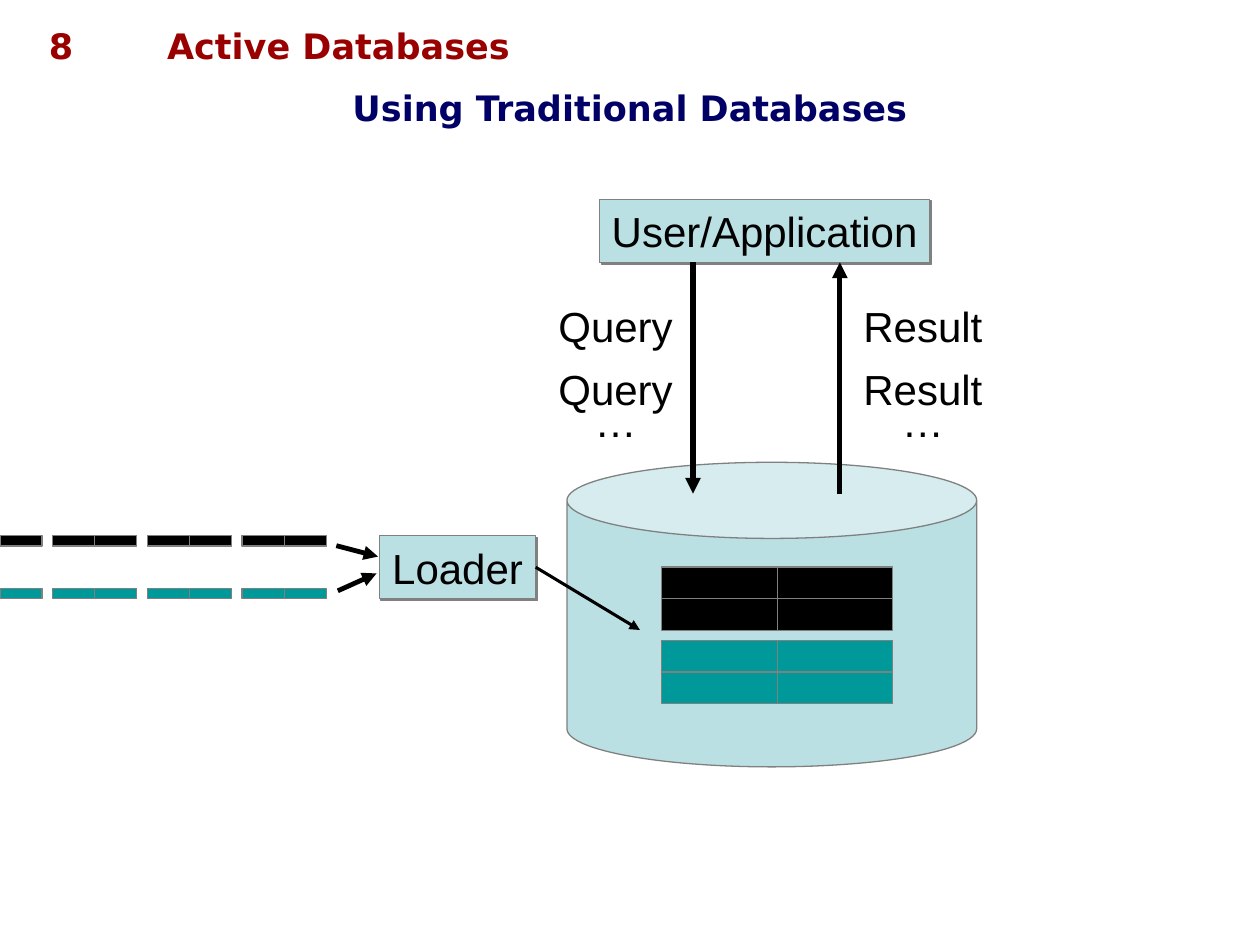
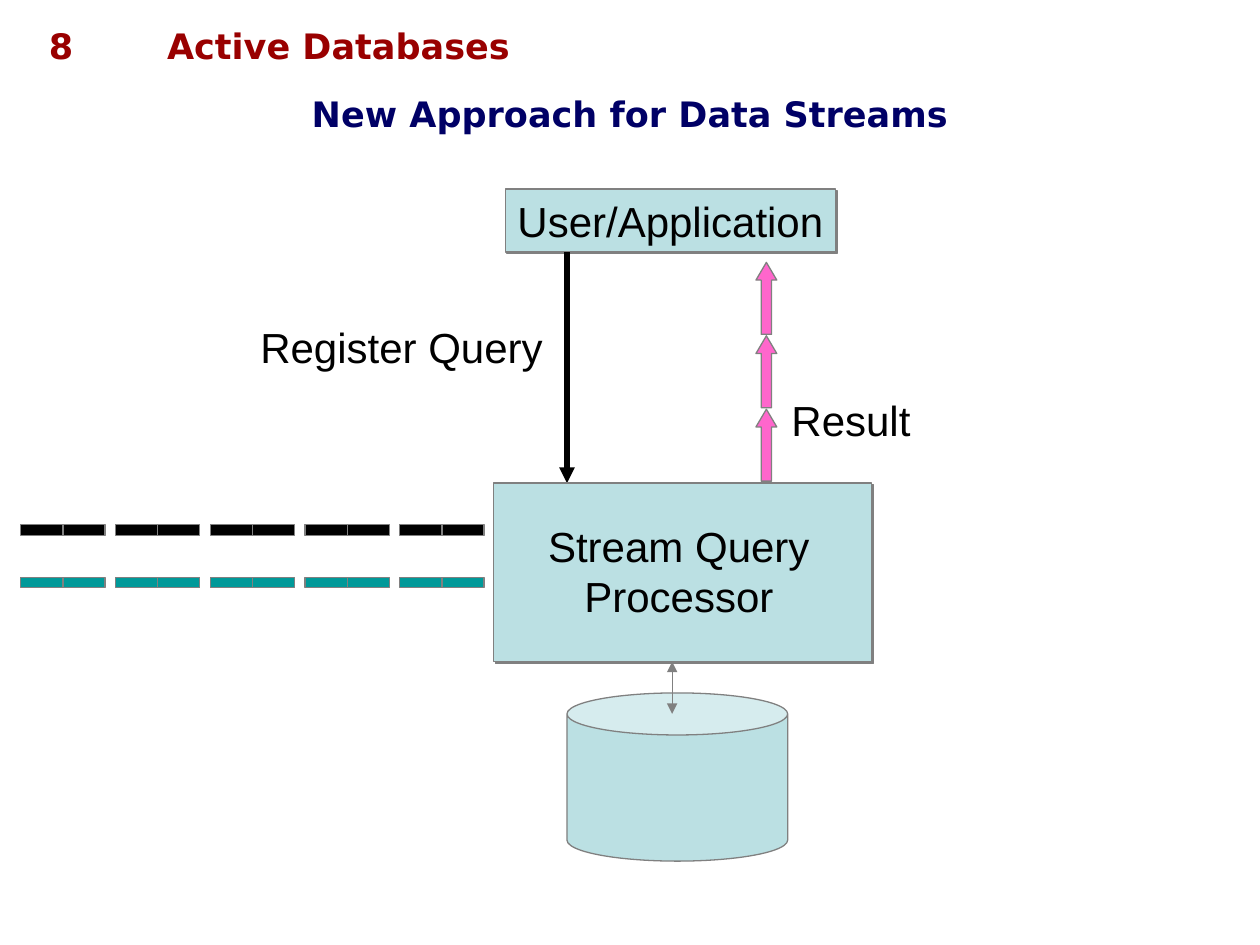
from lxml.etree import SubElement
from pptx import Presentation
from pptx.dml.color import RGBColor as RGB
from pptx.enum.shapes import MSO_CONNECTOR as Link, MSO_SHAPE as Shape
from pptx.enum.text import MSO_ANCHOR as Anchor, MSO_AUTO_SIZE as AutoSize, PP_ALIGN as Align
from pptx.oxml.ns import qn
from pptx.util import Cm, Pt


class Theme:
    heading = RGB(0x99, 0x00, 0x00)
    title = RGB(0x00, 0x00, 0x66)
    panel = RGB(0xBB, 0xE0, 0xE3)
    outline = RGB(0x80, 0x80, 0x80)
    ink = RGB(0x00, 0x00, 0x00)
    teal = RGB(0x00, 0x99, 0x99)
    pink = RGB(0xFF, 0x66, 0xCC)
    heading_font, body_font = "DejaVu Sans", "Arial"
    heading_size, body_size = Pt(20), Pt(24)
    thin, medium, strong, heavy = Pt(0.75), Pt(1.75), Pt(2.75), Pt(3)


def add_box(page, kind, left, top, width, height, fill=Theme.panel, lines=(), shadow=False):
    area = Cm(left), Cm(top), Cm(width), Cm(height)
    if kind is None:
        box = page.shapes.add_textbox(*area)
    else:
        box = page.shapes.add_shape(kind, *area)
        box.fill.solid()
        box.fill.fore_color.rgb = fill
        box.line.color.rgb = Theme.outline
        box.line.width = Theme.thin
        box.shadow.inherit = False
    if shadow:
        effects = box.element.spPr.find(qn("a:effectLst"))
        cast = SubElement(effects, qn("a:outerShdw"), dist=str(Pt(1.4)), dir="2700000", algn="ctr", rotWithShape="0")
        SubElement(cast, qn("a:srgbClr"), val=str(Theme.outline))
    frame = box.text_frame
    frame.word_wrap = False
    for index, text in enumerate(lines):
        para = frame.add_paragraph() if index else frame.paragraphs[0]
        para.alignment = Align.CENTER
        if text == "…":
            para.line_spacing = 0.6
        span = para.add_run()
        span.text = text
        span.font.name = Theme.body_font
        span.font.size = Theme.body_size
        span.font.color.rgb = Theme.ink
    return box


def add_arrow(page, start, end, width, color=Theme.ink, ends=("tailEnd",)):
    arrow = page.shapes.add_connector(Link.STRAIGHT, *map(Cm, start + end))
    arrow.line.color.rgb = color
    arrow.line.width = width
    properties = arrow.element.spPr
    for end_name in ends:
        SubElement(properties.find(qn("a:ln")), qn(f"a:{end_name}"), type="triangle")
    SubElement(properties, qn("a:effectLst"))
    return arrow


deck = Presentation()
deck.slide_width, deck.slide_height = Cm(25.4), Cm(19.05)
layout = deck.slide_layouts[5]

pages = []
for title_text, title_top in (("Using Traditional Databases", 1.78), ("New Approach for Data Streams", 1.91)):
    page = deck.slides.add_slide(layout)
    title = page.shapes.title
    title.left, title.top, title.width, title.height = Cm(0), Cm(title_top), Cm(25.4), Cm(0.76)
    frame = title.text_frame
    frame.margin_left = frame.margin_right = frame.margin_top = frame.margin_bottom = 0
    frame.vertical_anchor = Anchor.MIDDLE
    frame.auto_size = AutoSize.NONE
    para = frame.paragraphs[0]
    para.alignment = Align.CENTER
    span = para.add_run()
    span.text = title_text
    span.font.name, span.font.size, span.font.bold = Theme.heading_font, Theme.heading_size, True
    span.font.color.rgb = Theme.title
    pages.append(page)
traditional, streaming = pages

for text, left, width, alignment in (
    ("Active Databases", 3.12, 21.62, Align.LEFT),
    ("8", 0.33, 1.8, Align.CENTER),
):
    box = traditional.shapes.add_textbox(Cm(left), Cm(0.36), Cm(width), Cm(1.12))
    box.text_frame.word_wrap = True
    para = box.text_frame.paragraphs[0]
    para.alignment = alignment
    span = para.add_run()
    span.text = text
    span.font.name, span.font.size, span.font.bold = Theme.heading_font, Theme.heading_size, True
    span.font.color.rgb = Theme.heading
    layout.shapes.element.append(box.element)

add_box(traditional, Shape.CAN, 11.43, 9.32, 8.26, 6.14)
add_box(traditional, Shape.RECTANGLE, 12.09, 4.02, 6.65, 1.27, lines=["User/Application"], shadow=True)
loader = add_box(traditional, Shape.RECTANGLE, 7.65, 10.8, 3.15, 1.27, lines=["Loader"], shadow=True)
add_arrow(traditional, (13.97, 5.29), (13.97, 9.95), Theme.heavy)
add_arrow(traditional, (16.93, 9.95), (16.93, 5.29), Theme.heavy)
for label, left, width in (("Query", 11.0, 2.82), ("Result", 17.15, 2.91)):
    add_box(traditional, None, left, 5.93, width, 1.27, lines=[label])
    add_box(traditional, None, left, 7.2, width, 1.88, lines=[label, "…"])

for table, color in enumerate((Theme.ink, Theme.teal)):
    for row in range(2):
        for column in range(2):
            left, top = 13.34 + 2.33 * column, 11.43 + 1.48 * table + 0.64 * row
            add_box(traditional, Shape.RECTANGLE, left, top, 2.33, 0.64, color)

add_arrow(traditional, (6.78, 11.0), (7.62, 11.22), Theme.strong)
add_arrow(traditional, (6.81, 11.91), (7.59, 11.56), Theme.strong)
load_arrow = add_arrow(traditional, (10.8, 11.43), (12.9, 12.7), Theme.medium)
load_arrow.begin_connect(loader, 3)

add_box(streaming, Shape.RECTANGLE, 10.19, 3.81, 6.65, 1.27, lines=["User/Application"], shadow=True)
add_arrow(streaming, (11.43, 5.08), (11.43, 9.74), Theme.heavy)
add_box(streaming, None, 4.88, 6.35, 6.43, 1.27, lines=["Register Query"])
add_box(streaming, Shape.RECTANGLE, 9.95, 9.74, 7.62, 3.6, shadow=True)
add_box(streaming, None, 10.8, 10.37, 5.77, 2.29, lines=["Stream Query", "Processor"])
add_box(streaming, Shape.CAN, 11.43, 13.97, 4.45, 3.39)
add_arrow(streaming, (13.55, 13.34), (13.55, 14.39), Theme.thin, Theme.outline, ("headEnd", "tailEnd"))
add_box(streaming, None, 15.67, 7.83, 2.97, 1.27, lines=["Result"])
for step in range(3):
    result = add_box(streaming, Shape.UP_ARROW, 15.24, 5.29 + 1.48 * step, 0.42, 1.45, Theme.pink)
    result.adjustments[0], result.adjustments[1] = 0.5, 0.85

for page, cells, stream_left, stream_top in (
    (traditional, range(1, 8), -0.85, 10.8),
    (streaming, range(10), 0.42, 10.58),
):
    for stream, color in enumerate((Theme.ink, Theme.teal)):
        for cell in cells:
            pair, half = divmod(cell, 2)
            left = stream_left + 1.91 * pair + 0.85 * half
            add_box(page, Shape.RECTANGLE, left, stream_top + 1.06 * stream, 0.85, 0.21, color)

deck.save("out.pptx")
